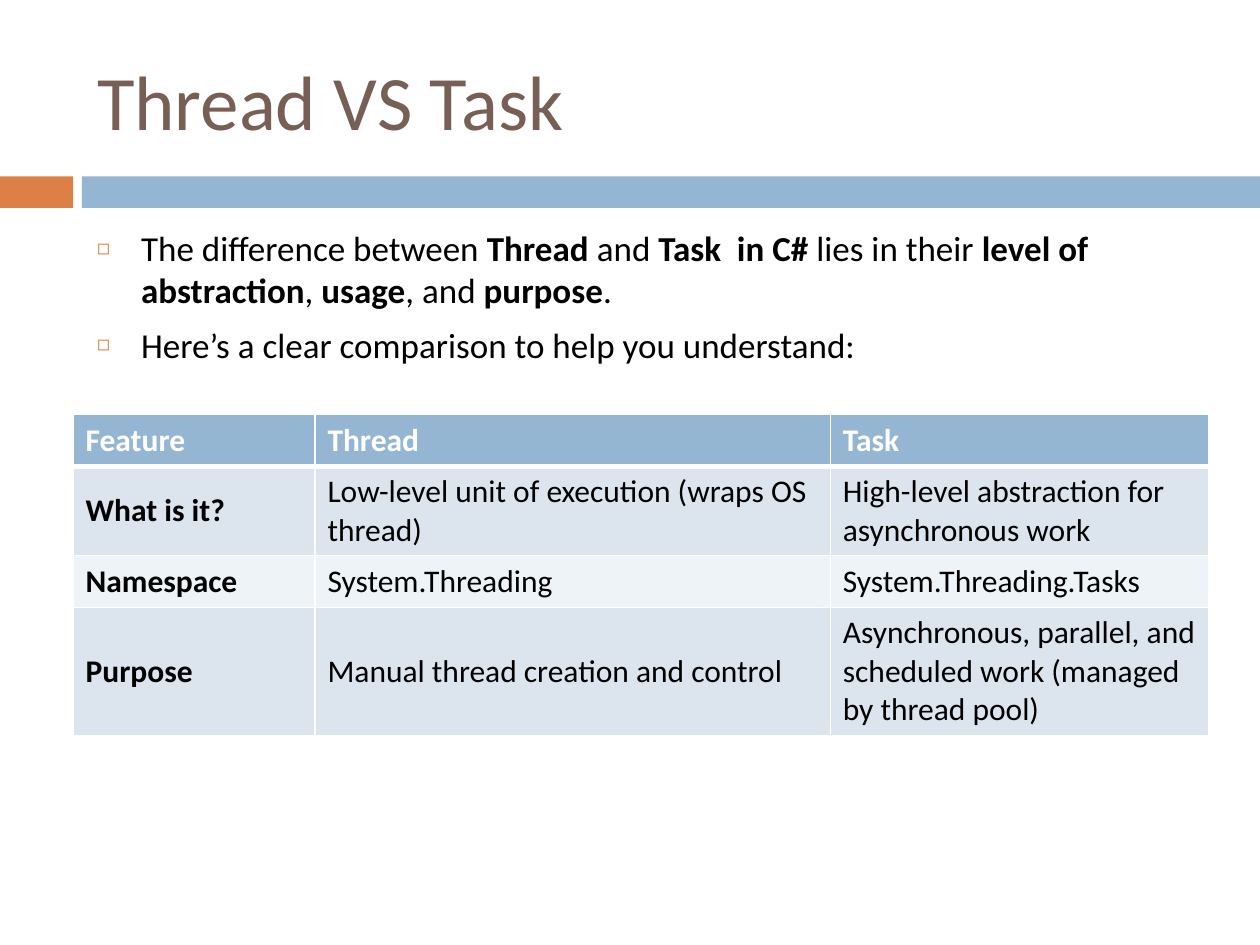
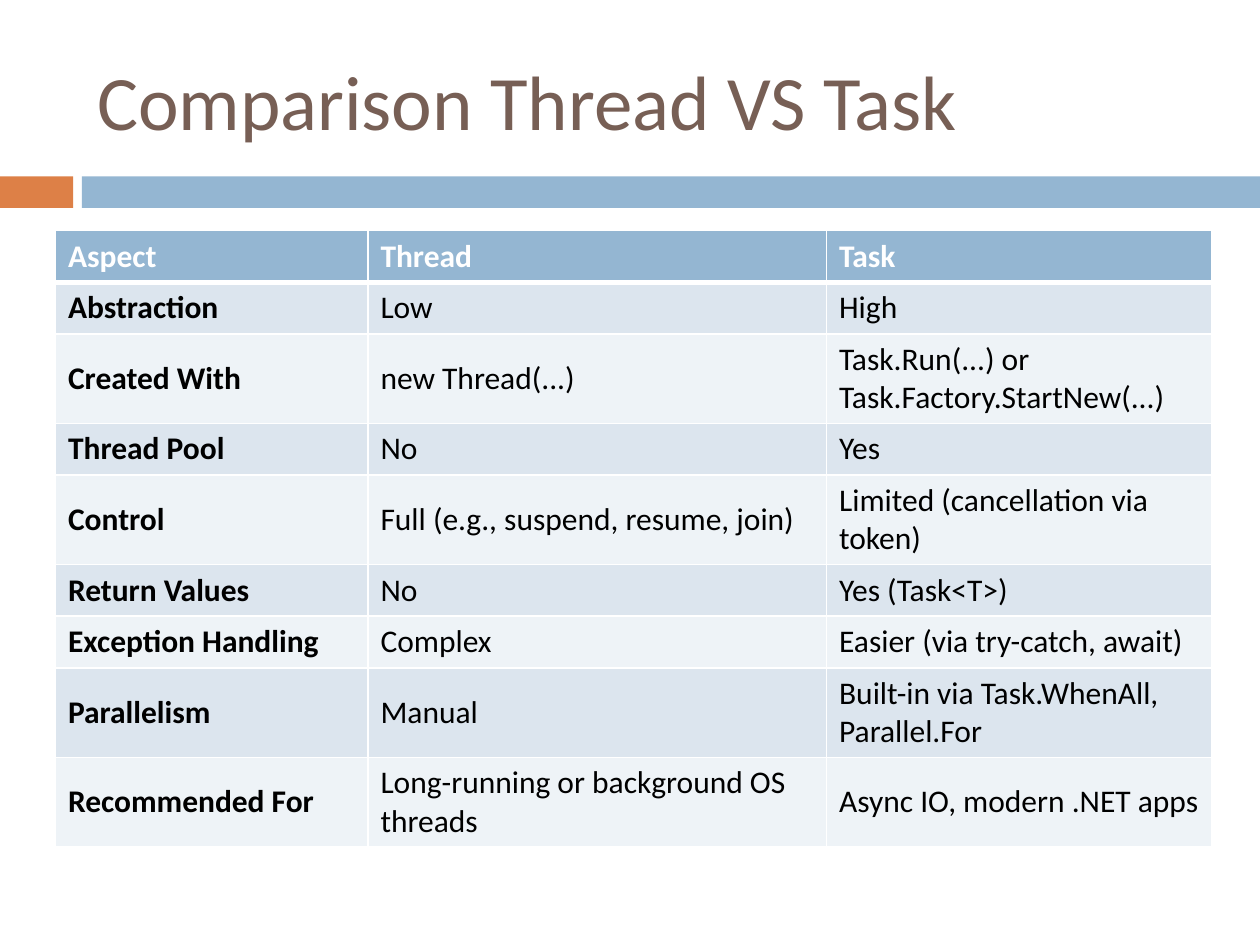
import pptx
import pptx.dml.color
import pptx.enum.shapes
import pptx.enum.text
import pptx.oxml
import pptx.oxml.ns
import pptx.util
from pptx.util import Inches

COLORS = {
    "title": "775F55",
    "accent": "DD8047",
    "band": "94B6D2",
    "odd_row": "DCE5EE",
    "even_row": "EEF3F7",
    "text": "000000",
    "white": "FFFFFF",
}
FONT = "Calibri"
TITLE_AND_CONTENT, TITLE_ONLY = 1, 5
ROW_HEIGHT = 0.41


def rgb(name):
    return pptx.dml.color.RGBColor.from_string(COLORS[name])


def add_xml(parent, tag, inner="", **attributes):
    """Append an element of the drawing namespace to parent."""
    settings = " ".join(f'{key}="{value}"' for key, value in attributes.items())
    namespace = pptx.oxml.ns.nsdecls("a")
    parent.append(pptx.oxml.parse_xml(
        f"<a:{tag} {namespace} {settings}>{inner}</a:{tag}>"))


def solid(name):
    return f'<a:solidFill><a:srgbClr val="{COLORS[name]}"/></a:solidFill>'


class Deck:
    """Holds the shared style and the slide being built."""

    def __init__(self):
        self.presentation = pptx.Presentation()
        self.presentation.slide_width = Inches(10)
        self.presentation.slide_height = Inches(7.5)
        self.slide = None

    def start_slide(self, layout, title):
        layouts = self.presentation.slide_layouts
        self.slide = self.presentation.slides.add_slide(layouts[layout])
        self.band(0, 0.58, "accent")
        self.band(0.65, 9.35, "band")
        heading = self.place(self.slide.shapes.title, 0.25, 1.08)
        heading.vertical_anchor = pptx.enum.text.MSO_ANCHOR.MIDDLE
        paragraph = heading.paragraphs[0]
        paragraph.alignment = pptx.enum.text.PP_ALIGN.LEFT
        self.run(paragraph, title, 44, "title")

    def band(self, left, width, color):
        band = self.slide.shapes.add_shape(
            pptx.enum.shapes.MSO_SHAPE.RECTANGLE,
            Inches(left), Inches(1.4), Inches(width), Inches(0.25))
        band.shadow.inherit = False
        band.fill.solid()
        band.fill.fore_color.rgb = rgb(color)
        band.line.fill.background()

    def place(self, placeholder, top, height):
        """Move a placeholder into the text column and return its text frame."""
        placeholder.left, placeholder.top = Inches(0.67), Inches(top)
        placeholder.width, placeholder.height = Inches(8.92), Inches(height)
        frame = placeholder.text_frame
        frame.auto_size = pptx.enum.text.MSO_AUTO_SIZE.NONE
        frame.word_wrap = True
        return frame

    def run(self, paragraph, text, size, color, bold=False):
        run = paragraph.add_run()
        run.text = text
        run.font.name = FONT
        run.font.size = pptx.util.Pt(size)
        run.font.bold = bold
        run.font.color.rgb = rgb(color)

    def bullets(self, items):
        """Fill the body; each item is a list of (text, bold) runs."""
        frame = self.place(self.slide.placeholders[1], 1.75, 4.92)
        for index, item in enumerate(items):
            paragraph = frame.add_paragraph() if index else frame.paragraphs[0]
            paragraph.space_before = pptx.util.Pt(7 if index else 0)
            properties = paragraph._p.get_or_add_pPr()
            properties.set("marL", str(Inches(0.35)))
            properties.set("indent", str(Inches(-0.35)))
            add_xml(properties, "buClr", f'<a:srgbClr val="{COLORS["accent"]}"/>')
            add_xml(properties, "buSzPct", val=60000)
            add_xml(properties, "buChar", char="◻")
            for text, bold in item:
                self.run(paragraph, text, 20, "text", bold)

    def table(self, left, top, widths, rows):
        table = self.slide.shapes.add_table(
            len(rows), len(widths), Inches(left), Inches(top),
            Inches(sum(widths)), Inches(ROW_HEIGHT * len(rows))).table
        table.horz_banding = False
        for column, width in zip(table.columns, widths):
            column.width = Inches(width)
        for row_index, row in enumerate(rows):
            table.rows[row_index].height = Inches(ROW_HEIGHT)
            for column_index, text in enumerate(row):
                self.cell(table.cell(row_index, column_index), text,
                          row_index, column_index)

    def cell(self, cell, text, row, column):
        is_header = row == 0
        properties = cell._tc.get_or_add_tcPr()
        weights = {"lnL": 1, "lnR": 1, "lnT": 3 if row == 1 else 1,
                   "lnB": 3 if is_header else 1}
        for side, weight in weights.items():
            add_xml(properties, side, solid("white"), w=pptx.util.Pt(weight))
        cell.fill.solid()
        row_color = "odd_row" if row % 2 else "even_row"
        cell.fill.fore_color.rgb = rgb("band" if is_header else row_color)
        cell.vertical_anchor = pptx.enum.text.MSO_ANCHOR.MIDDLE
        self.run(cell.text_frame.paragraphs[0], text, 18,
                 "white" if is_header else "text", is_header or column == 0)


def main():
    deck = Deck()

    deck.start_slide(TITLE_AND_CONTENT, "Thread VS Task")
    deck.bullets([
        [("The difference between ", False), ("Thread ", True), ("and ", False),
         ("Task  in C#", True), (" lies in their ", False),
         ("level of abstraction", True), (", ", False), ("usage", True),
         (", and ", False), ("purpose", True), (".", False)],
        [("Here’s a clear comparison to help you understand:", False)],
    ])
    deck.table(0.58, 3.29, [1.92, 4.09, 3], [
        ("Feature", "Thread", "Task"),
        ("What is it?", "Low-level unit of execution (wraps OS thread)",
         "High-level abstraction for asynchronous work"),
        ("Namespace", "System.Threading", "System.Threading.Tasks"),
        ("Purpose", "Manual thread creation and control",
         "Asynchronous, parallel, and scheduled work (managed by thread pool)"),
    ])

    deck.start_slide(TITLE_ONLY, "Comparison Thread VS Task")
    deck.table(0.44, 1.83, [2.48, 3.64, 3.06], [
        ("Aspect", "Thread", "Task"),
        ("Abstraction", "Low", "High"),
        ("Created With", "new Thread(...)",
         "Task.Run(...) or Task.Factory.StartNew(...)"),
        ("Thread Pool", "No", "Yes"),
        ("Control", "Full (e.g., suspend, resume, join)",
         "Limited (cancellation via token)"),
        ("Return Values", "No", "Yes (Task<T>)"),
        ("Exception Handling", "Complex", "Easier (via try-catch, await)"),
        ("Parallelism", "Manual", "Built-in via Task.WhenAll, Parallel.For"),
        ("Recommended For", "Long-running or background OS threads",
         "Async IO, modern .NET apps"),
    ])

    deck.presentation.save("out.pptx")


if __name__ == "__main__":
    main()
